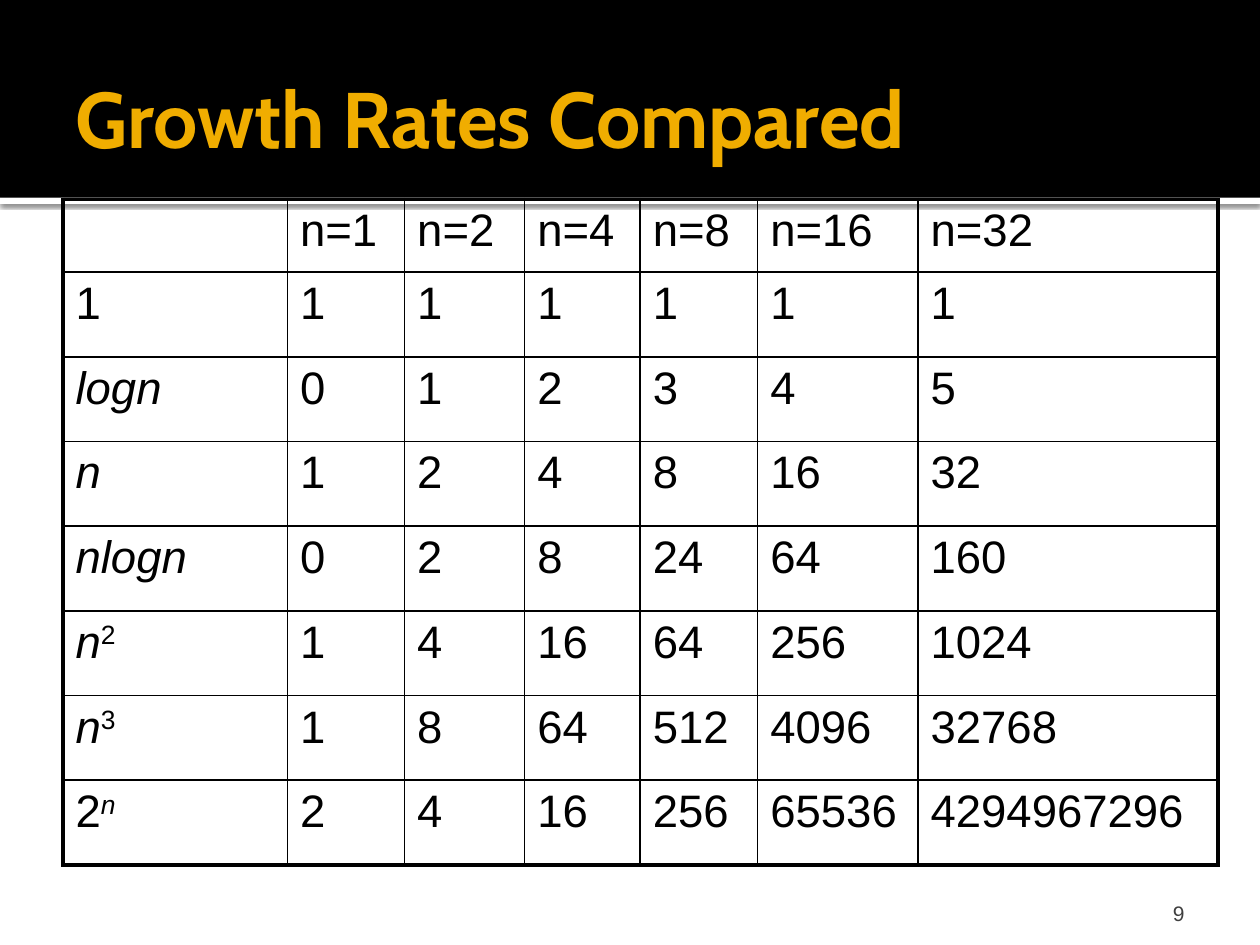
import pptx
import pptx.util
import pptx.dml.color
import pptx.enum.shapes
import pptx.enum.text
import pptx.oxml
import pptx.oxml.ns

Pt = pptx.util.Pt
PP_ALIGN = pptx.enum.text.PP_ALIGN
ANCHOR = pptx.enum.text.MSO_ANCHOR
NS = pptx.oxml.ns.nsdecls("a")

COLORS = {"ink": "000000", "paper": "FFFFFF", "gold": "F0AD00", "gray": "3F3F3F"}


class Deck:
    body_font = "Arial"
    title_font = "Cabin"
    thin, thick = 1, 2.25

    def __init__(self, width, height):
        self.prs = pptx.Presentation()
        self.prs.slide_width, self.prs.slide_height = Pt(width), Pt(height)
        self.s = self.prs.slides.add_slide(self.prs.slide_layouts[5])

    def rgb(self, color):
        return pptx.dml.color.RGBColor.from_string(COLORS[color])

    def style(self, r, size, color="ink", font=None, bold=False, italic=False):
        r.font.size, r.font.name = Pt(size), font or self.body_font
        r.font.bold, r.font.italic = bold, italic
        r.font.color.rgb = self.rgb(color)

    def frame(self, tf, insets, anchor):
        tf.word_wrap = True
        tf.auto_size = pptx.enum.text.MSO_AUTO_SIZE.NONE
        tf.vertical_anchor = anchor
        tf.margin_left, tf.margin_top, tf.margin_right, tf.margin_bottom = map(Pt, insets)

    def band(self, box, color, shadow=False):
        sp = self.s.shapes.add_shape(pptx.enum.shapes.MSO_SHAPE.RECTANGLE, *map(Pt, box))
        sp.fill.solid()
        sp.fill.fore_color.rgb = self.rgb(color)
        sp.line.fill.background()
        sp.shadow.inherit = False
        if shadow:
            effects = sp.element.spPr.find(pptx.oxml.ns.qn("a:effectLst"))
            effects.append(pptx.oxml.parse_xml(
                f'<a:outerShdw {NS} blurRad="{Pt(2.5)}" dist="{Pt(0.8)}" dir="5400000" '
                f'algn="t" rotWithShape="0"><a:srgbClr val="{COLORS["ink"]}">'
                '<a:alpha val="60000"/></a:srgbClr></a:outerShdw>'))

    def title(self, text, box):
        sp = self.s.shapes.title
        sp.left, sp.top, sp.width, sp.height = map(Pt, box)
        sp.element.getparent().append(sp.element)
        tf = sp.text_frame
        self.frame(tf, (7.2, 3.6, 3.6, 3.6), ANCHOR.MIDDLE)
        tf.text = text
        p = tf.paragraphs[0]
        p.alignment = PP_ALIGN.LEFT
        self.style(p.runs[0], 45, "gold", self.title_font, bold=True)

    def number(self, text, box):
        tf = self.s.shapes.add_textbox(*map(Pt, box)).text_frame
        self.frame(tf, (7.2, 3.6, 7.2, 0), ANCHOR.BOTTOM)
        tf.text = text
        p = tf.paragraphs[0]
        p.alignment = PP_ALIGN.RIGHT
        self.style(p.runs[0], 12, "gray")

    def borders(self, cell, outer):
        tcPr = cell._tc.get_or_add_tcPr()
        for side in "LRTB":
            width = self.thick if side in outer else self.thin
            tcPr.append(pptx.oxml.parse_xml(
                f'<a:ln{side} {NS} w="{Pt(width)}"><a:solidFill>'
                f'<a:srgbClr val="{COLORS["ink"]}"/></a:solidFill></a:ln{side}>'))

    def label(self, cell, text):
        p = cell.text_frame.paragraphs[0]
        base, _, power = text.partition("^")
        for part, raised in ((base, False), (power, True)):
            if part:
                r = p.add_run()
                r.text = part
                self.style(r, 26, italic=part.isalpha())
                if raised:
                    r.font._element.set("baseline", "30000")

    def table(self, rows, left, top, widths, heights):
        table = self.s.shapes.add_table(
            len(rows), len(widths), Pt(left), Pt(top), Pt(sum(widths)), Pt(sum(heights))).table
        table.first_row = table.horz_banding = False
        for column, width in zip(table.columns, widths):
            column.width = Pt(width)
        for i, (row, height) in enumerate(zip(rows, heights)):
            table.rows[i].height = Pt(height)
            for j, text in enumerate(row):
                cell = table.cell(i, j)
                edges = {"L": j == 0, "R": j == len(widths) - 1,
                         "T": i == 0, "B": i == len(rows) - 1}
                self.borders(cell, [side for side in edges if edges[side]])
                cell.fill.background()
                self.label(cell, text)


SIZES = [1, 2, 4, 8, 16, 32]
GROWTH = {
    "1": [1, 1, 1, 1, 1, 1],
    "logn": [0, 1, 2, 3, 4, 5],
    "n": SIZES,
    "nlogn": [0, 2, 8, 24, 64, 160],
    "n^2": [n ** 2 for n in SIZES],
    "n^3": [n ** 3 for n in SIZES],
    "2^n": [2 ** n for n in SIZES],
}
rows = [[""] + [f"n={n}" for n in SIZES]]
rows += [[name] + [str(v) for v in values] for name, values in GROWTH.items()]

deck = Deck(720, 540)
deck.band((0, 113, 720, 3.6), "paper", shadow=True)
deck.band((0, 0, 720, 113), "ink")
deck.title("Growth Rates Compared", (36, 21.6, 648, 90))
deck.table(rows, 36, 114, [128.25, 67, 68.6, 66, 67.2, 91.6, 171.4], [41.5] + [48.4] * 7)
deck.number("9", (516, 492, 168, 37.2))
deck.prs.save("out.pptx")
